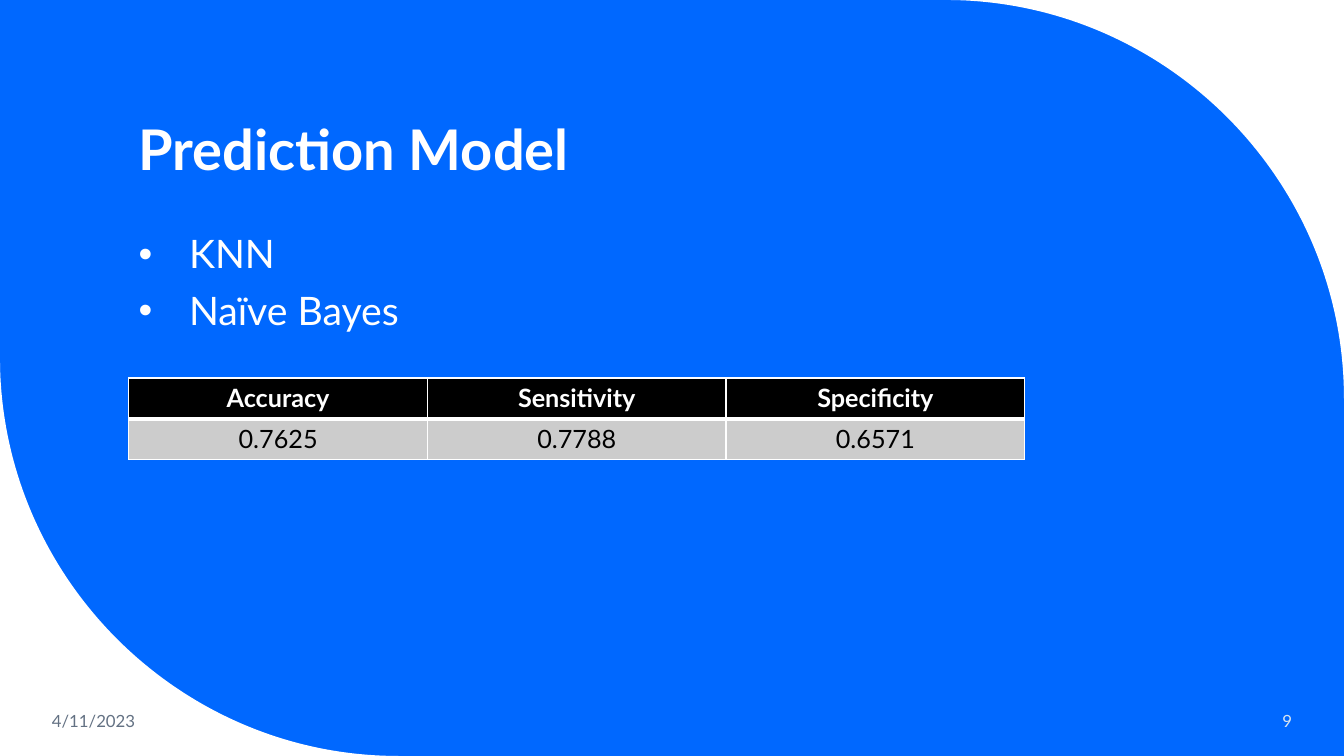
import pptx
import pptx.oxml
import pptx.oxml.ns
from pptx.dml.color import RGBColor
from pptx.enum.text import MSO_ANCHOR, PP_ALIGN
from pptx.util import Pt

BLUE = RGBColor(0x00, 0x68, 0xFF)
WHITE = RGBColor(0xFF, 0xFF, 0xFF)
BLACK = RGBColor(0x00, 0x00, 0x00)
GREY = RGBColor(0xCC, 0xCC, 0xCC)
SLATE = RGBColor(0x63, 0x71, 0x83)
PALE = RGBColor(0xDA, 0xE5, 0xEF)

WIDTH, HEIGHT = 960, 540
CORNER = 284.6
ARC_PULL = 0.55  # share of the way to the corner for a quarter circle's handles
FONT = "Lato"
NS = pptx.oxml.ns.nsdecls("a")


def write_text(tf, lines, size, color, bold=False, align=PP_ALIGN.LEFT,
               anchor=MSO_ANCHOR.TOP, spacing=None, before=0, bullet_indent=None):
    tf.word_wrap = True
    tf.vertical_anchor = anchor
    for i, line in enumerate(lines):
        p = tf.paragraphs[0] if i == 0 else tf.add_paragraph()
        p.alignment = align
        p.space_before = Pt(before)
        if spacing:
            p.line_spacing = spacing
        if bullet_indent:
            pPr = p._p.get_or_add_pPr()
            pPr.set("marL", str(Pt(bullet_indent)))
            pPr.set("indent", str(-Pt(bullet_indent)))
            for bullet in ('buFont {} typeface="Arial"', 'buChar {} char="•"'):
                pPr.append(pptx.oxml.parse_xml(f"<a:{bullet.format(NS)}/>"))
        r = p.add_run()
        r.text = line
        r.font.name = FONT
        r.font.size = Pt(size)
        r.font.bold = bold
        r.font.color.rgb = color


def add_text(s, box, lines, **text_format):
    sp = s.shapes.add_textbox(*map(Pt, box))
    write_text(sp.text_frame, lines, **text_format)


def bend_segment(segment, corner, start, end):
    """Turn a straight segment into a quarter circle that bulges to the corner."""
    handles = [[a + (c - a) * ARC_PULL for a, c in zip(point, corner)]
               for point in (start, end)]
    points = "".join(f'<a:pt x="{round(x)}" y="{round(y)}"/>'
                     for x, y in [*handles, end])
    curve = pptx.oxml.parse_xml(f"<a:cubicBezTo {NS}>{points}</a:cubicBezTo>")
    segment.getparent().replace(segment, curve)


def add_corner(s, corner, start, end):
    """Fill the area between a slide corner and the quarter circle inside it."""
    builder = s.shapes.build_freeform(*map(Pt, corner))
    builder.add_line_segments([tuple(map(Pt, point)) for point in (start, end, corner)],
                              close=True)
    sp = builder.convert_to_shape()
    points = [(int(pt.get("x")), int(pt.get("y")))
              for pt in sp._element.xpath(".//a:path//a:pt")]
    bend_segment(sp._element.xpath(".//a:lnTo")[1], *points[:3])
    sp.shadow.inherit = False
    sp.fill.solid()
    sp.fill.fore_color.rgb = WHITE
    sp.line.fill.background()


def set_borders(cell, bottom):
    tcPr = cell._tc.get_or_add_tcPr()
    widths = {"lnL": 1, "lnR": 1, "lnT": 1, "lnB": bottom}
    for i, (tag, width) in enumerate(widths.items()):
        tcPr.insert(i, pptx.oxml.parse_xml(
            f'<a:{tag} {NS} w="{Pt(width)}">'
            f'<a:solidFill><a:srgbClr val="{WHITE}"/></a:solidFill></a:{tag}>'))


def add_score_table(s, box, rows):
    left, top, width, height = box
    table = s.shapes.add_table(len(rows), len(rows[0]), *map(Pt, box)).table
    for column in table.columns:
        column.width = Pt(width / len(rows[0]))
    for i, values in enumerate(rows):
        table.rows[i].height = Pt(height / len(rows))
        header = i == 0
        for j, value in enumerate(values):
            cell = table.cell(i, j)
            cell.fill.solid()
            cell.fill.fore_color.rgb = BLACK if header else GREY
            set_borders(cell, bottom=3 if header else 1)
            write_text(cell.text_frame, [value], size=18, bold=header,
                       color=WHITE if header else BLACK, align=PP_ALIGN.CENTER)


def add_background(s):
    s.background.fill.solid()
    s.background.fill.fore_color.rgb = BLUE
    add_corner(s, (WIDTH, 0), (WIDTH - CORNER, 0), (WIDTH, CORNER))
    add_corner(s, (0, HEIGHT), (CORNER, HEIGHT), (0, HEIGHT - CORNER))


def add_content(s, box):
    left, top, width, height = box
    add_text(s, (left, top, width, 104.4), ["Prediction Model"], size=40,
             color=WHITE, bold=True, anchor=MSO_ANCHOR.BOTTOM, spacing=0.9)
    add_text(s, (left, top + 134.6, width, height - 134.6), ["KNN", "Naïve Bayes"],
             size=28, color=WHITE, spacing=0.9, before=10, bullet_indent=36)
    add_score_table(s, (left, top + 240.4, 640, 58.4),
                    [["Accuracy", "Sensitivity", "Specificity"],
                     ["0.7625", "0.7788", "0.6571"]])


def add_footer(s, box):
    left, top, width, height = box
    part = 132
    add_text(s, (left, top, part, height), ["4/11/2023"], size=12,
             color=SLATE, anchor=MSO_ANCHOR.MIDDLE)
    add_text(s, (left + width - part, top, part, height), ["9"], size=12,
             color=PALE, align=PP_ALIGN.RIGHT, anchor=MSO_ANCHOR.MIDDLE)


def main():
    prs = pptx.Presentation()
    prs.slide_width, prs.slide_height = Pt(WIDTH), Pt(HEIGHT)
    s = prs.slides.add_slide(prs.slide_layouts[6])
    add_background(s)
    add_content(s, (92, 29.6, 770, 399.6))
    add_footer(s, (30, 500.4, 900, 28.8))
    prs.save("out.pptx")


if __name__ == "__main__":
    main()
